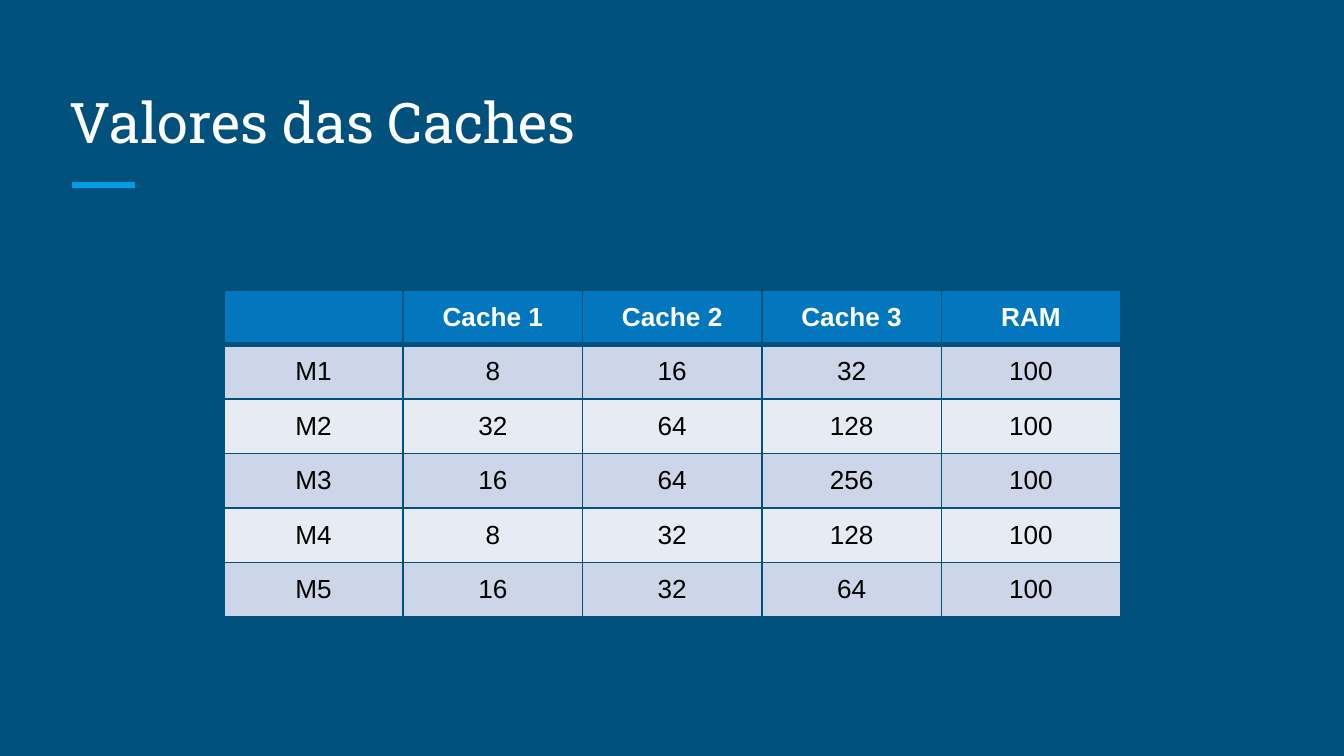
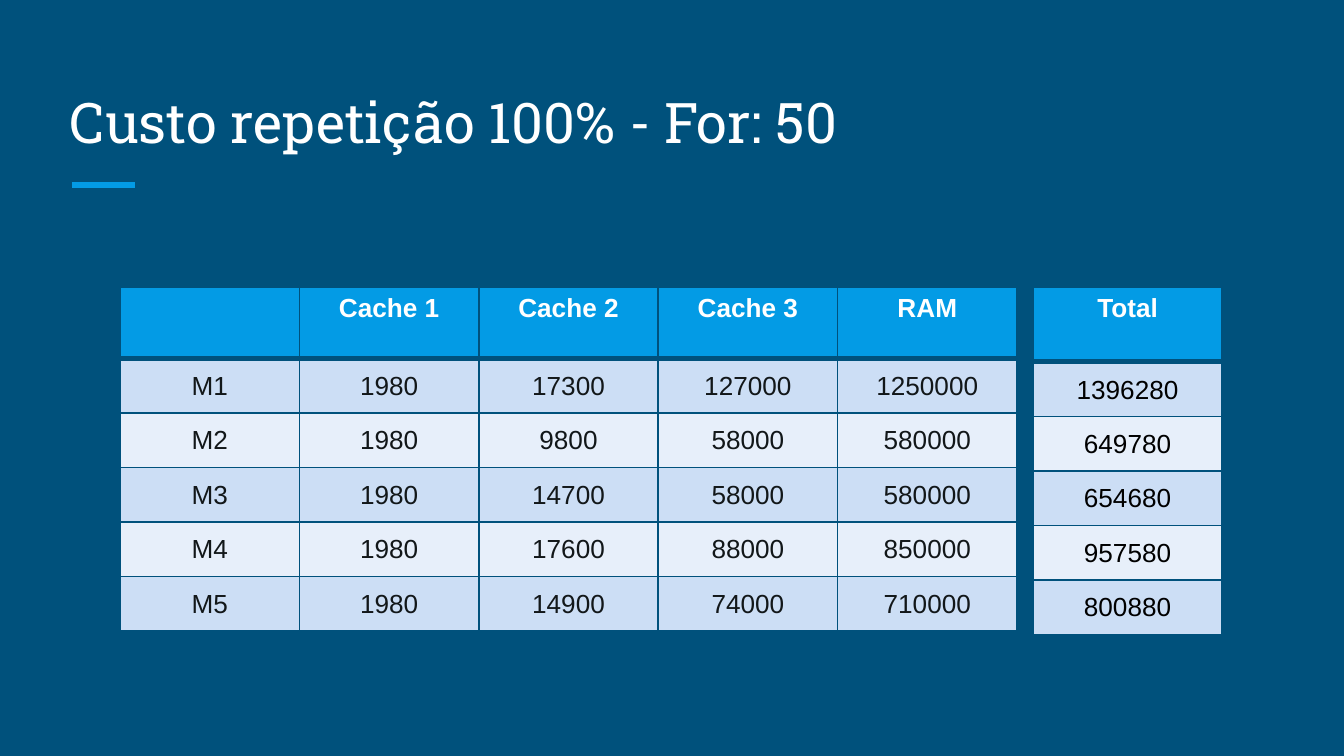
from dataclasses import dataclass

from lxml.etree import SubElement
from pptx import Presentation
from pptx.dml.color import RGBColor
from pptx.enum.shapes import MSO_CONNECTOR as Connector
from pptx.enum.text import MSO_ANCHOR as Anchor, PP_ALIGN as Align
from pptx.oxml.ns import qn
from pptx.slide import Slide
from pptx.table import _Cell as Cell
from pptx.util import Cm, Pt

# Shared look
NAVY = RGBColor(0x00, 0x51, 0x7C)
SKY = RGBColor(0x03, 0x9B, 0xE5)
BLUE = RGBColor(0x02, 0x77, 0xBD)
WHITE = RGBColor(0xFF, 0xFF, 0xFF)
BLACK = RGBColor(0x00, 0x00, 0x00)
INK = RGBColor(0x12, 0x17, 0x19)
GREY_BANDS = (RGBColor(0xCC, 0xD6, 0xE8), RGBColor(0xE7, 0xEC, 0xF4))
BLUE_BANDS = (RGBColor(0xCC, 0xDE, 0xF5), RGBColor(0xE7, 0xEF, 0xFA))
TITLE_FONT, TABLE_FONT = "Roboto Slab", "Arial"
ROW_HEIGHT = 1.03
COLUMN_WIDTH = 3.39
THIN, THICK = 1, 3


@dataclass(frozen=True)
class Grid:
    """A banded table; lengths are in centimetres."""
    left: float
    top: float
    rows: list[list[str]]
    header_fill: RGBColor
    bands: tuple[RGBColor, RGBColor]
    ink: RGBColor
    column_width: float = COLUMN_WIDTH
    header_height: float = ROW_HEIGHT
    header_anchor: Anchor = Anchor.TOP
    tight: bool = False


@dataclass(frozen=True)
class Page:
    title: str
    grids: list[Grid]


def add_span(para, text: str, font: str, size: int, color: RGBColor, bold: bool = False) -> None:
    span = para.add_run()
    span.text = text
    span.font.name = font
    span.font.size = Pt(size)
    span.font.color.rgb = color
    span.font.bold = bold


def add_heading(slide: Slide, title: str) -> None:
    """Background, short rule and title."""
    slide.background.fill.solid()
    slide.background.fill.fore_color.rgb = NAVY
    rule = slide.shapes.add_connector(Connector.STRAIGHT, Cm(1.36), Cm(3.5), Cm(2.55), Cm(3.5))
    rule.line.color.rgb = SKY
    rule.line.width = Pt(3)
    SubElement(rule._element.spPr, qn("a:effectLst"))

    box = slide.shapes.add_textbox(Cm(1.07), Cm(1.27), Cm(23.24), Cm(1.9))
    frame = box.text_frame
    frame.word_wrap = True
    frame.vertical_anchor = Anchor.BOTTOM
    frame.margin_left = frame.margin_right = Cm(0.25)
    frame.margin_top = frame.margin_bottom = Cm(0.25)
    add_span(frame.paragraphs[0], title, TITLE_FONT, 30, WHITE)


def add_borders(cell: Cell, top: int, bottom: int) -> None:
    properties = cell._tc.get_or_add_tcPr()
    widths = {"lnL": THIN, "lnR": THIN, "lnT": top, "lnB": bottom}
    for side, width in widths.items():
        line = SubElement(properties, qn(f"a:{side}"), w=str(Pt(width)))
        fill = SubElement(line, qn("a:solidFill"))
        SubElement(fill, qn("a:srgbClr"), val=str(NAVY))


def fill_cell(cell: Cell, text: str, row: int, grid: Grid) -> None:
    header = row == 0
    add_borders(cell, THICK if row == 1 else THIN, THICK if header else THIN)
    cell.fill.solid()
    cell.fill.fore_color.rgb = grid.header_fill if header else grid.bands[(row - 1) % 2]
    cell.vertical_anchor = grid.header_anchor if header else Anchor.MIDDLE
    if grid.tight and not header:
        cell.margin_left = cell.margin_right = cell.margin_top = Cm(0.03)
        cell.margin_bottom = Cm(0)
    para = cell.text_frame.paragraphs[0]
    para.alignment = Align.CENTER
    if text:
        add_span(para, text, TABLE_FONT, 14, WHITE if header else grid.ink, header)


def add_grid(slide: Slide, grid: Grid) -> None:
    row_count, column_count = len(grid.rows), len(grid.rows[0])
    height = grid.header_height + ROW_HEIGHT * (row_count - 1)
    table = slide.shapes.add_table(
        row_count, column_count, Cm(grid.left), Cm(grid.top),
        Cm(grid.column_width * column_count), Cm(height)).table
    table.first_row = table.horz_banding = False
    for column in table.columns:
        column.width = Cm(grid.column_width)
    for row, texts in enumerate(grid.rows):
        table.rows[row].height = Cm(ROW_HEIGHT if row else grid.header_height)
        for column, text in enumerate(texts):
            fill_cell(table.cell(row, column), text, row, grid)


# Content
HEADER = ["", "Cache 1", "Cache 2", "Cache 3", "RAM"]
SIZES = [
    HEADER,
    ["M1", "8", "16", "32", "100"],
    ["M2", "32", "64", "128", "100"],
    ["M3", "16", "64", "256", "100"],
    ["M4", "8", "32", "128", "100"],
    ["M5", "16", "32", "64", "100"],
]
COSTS = [
    HEADER,
    ["M1", "1980", "17300", "127000", "1250000"],
    ["M2", "1980", "9800", "58000", "580000"],
    ["M3", "1980", "14700", "58000", "580000"],
    ["M4", "1980", "17600", "88000", "850000"],
    ["M5", "1980", "14900", "74000", "710000"],
]
TOTALS = [["Total"]] + [[str(sum(map(int, costs[1:])))] for costs in COSTS[1:]]

PAGES = [
    Page("Valores das Caches", [
        Grid(4.23, 5.48, SIZES, BLUE, GREY_BANDS, BLACK, header_anchor=Anchor.MIDDLE),
    ]),
    Page("Custo repetição 100% - For: 50", [
        Grid(2.27, 5.42, COSTS, SKY, BLUE_BANDS, INK, header_height=1.36),
        Grid(19.53, 5.42, TOTALS, SKY, BLUE_BANDS, BLACK, column_width=3.56,
             header_height=1.42, tight=True),
    ]),
]

# Build
deck = Presentation()
deck.slide_width, deck.slide_height = Cm(25.4), Cm(14.29)
for page in PAGES:
    slide = deck.slides.add_slide(deck.slide_layouts[6])
    add_heading(slide, page.title)
    for grid in page.grids:
        add_grid(slide, grid)
deck.save("out.pptx")
